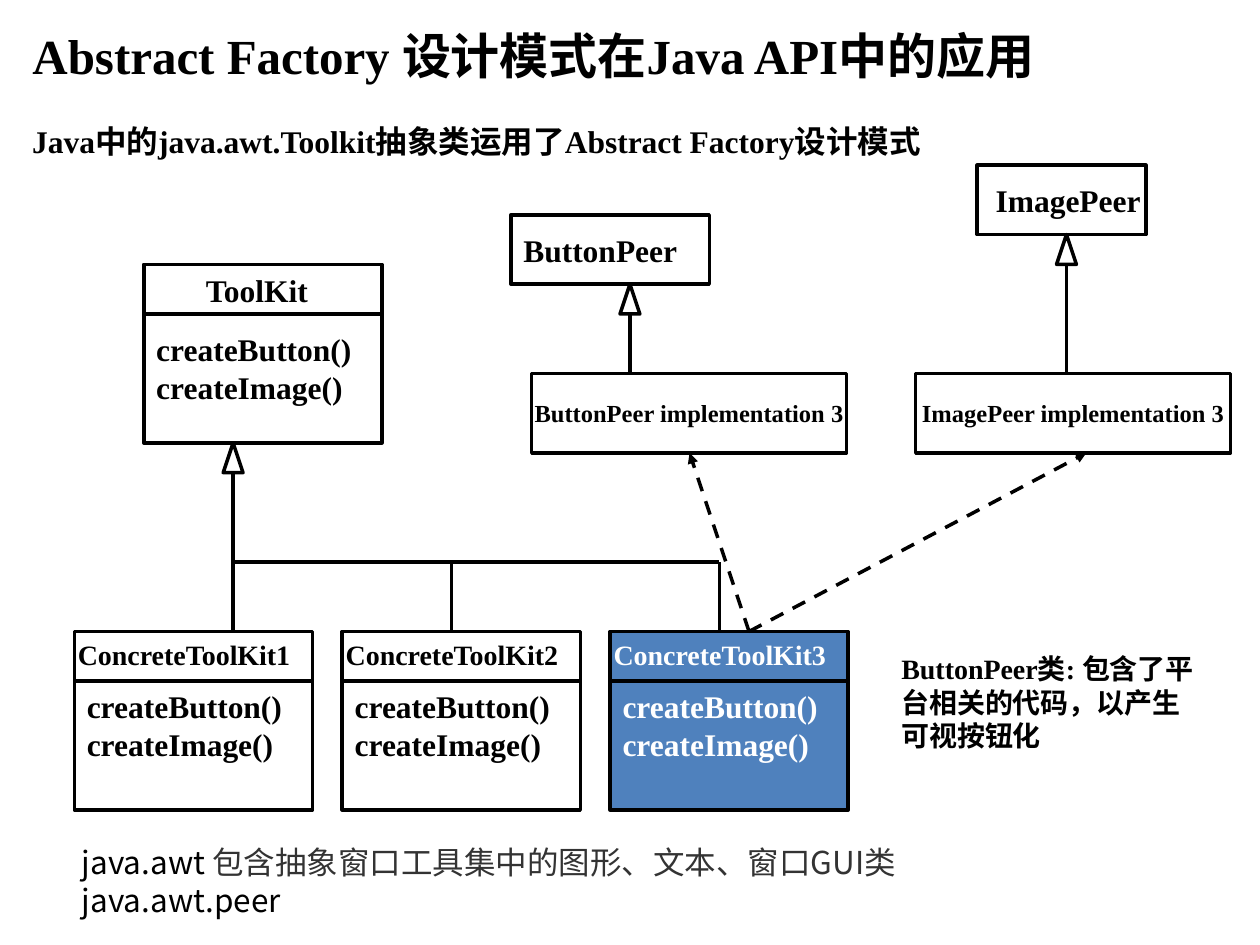
"""Build the slide on Abstract Factory in the Java API as a class diagram on a 2 mm grid."""
from lxml import etree
from pptx import Presentation
from pptx.dml.color import RGBColor
from pptx.enum.dml import MSO_LINE
from pptx.enum.shapes import MSO_CONNECTOR, MSO_SHAPE
from pptx.enum.text import MSO_ANCHOR, PP_ALIGN
from pptx.oxml.ns import qn
from pptx.util import Inches, Mm, Pt

RECT, TRIANGLE = MSO_SHAPE.RECTANGLE, MSO_SHAPE.ISOSCELES_TRIANGLE
STRAIGHT, DASH = MSO_CONNECTOR.STRAIGHT, MSO_LINE.DASH
LEFT, CENTER = PP_ALIGN.LEFT, PP_ALIGN.CENTER
TOP, MIDDLE = MSO_ANCHOR.TOP, MSO_ANCHOR.MIDDLE

COLORS = {"ink": "000000", "paper": "FFFFFF", "accent": "4F81BD", "gray": "333333"}
SERIF, SANS = "Times New Roman", "Noto Sans CJK SC"
COL_OFFSET, ROW_OFFSET = 0.5, 0.65

TITLE = "Abstract Factory 设计模式在Java API中的应用"
SUBTITLE = "Java中的java.awt.Toolkit抽象类运用了Abstract Factory设计模式"
METHODS = ["createButton()", "createImage()"]
BUTTON_NOTE = ["ButtonPeer类: 包含了平", "台相关的代码，以产生", "可视按钮化"]
PACKAGES = [
    [("java.awt ", "ink"), ("包含抽象窗口工具集中的图形、文本、窗口GUI类", "gray")],
    [("java.awt.peer", "ink")],
]

CLASS_W, CLASS_H, NAME_H = 24, 18, 5
TOOLKIT_COL, TOOLKIT_ROW = 14, 26
CONCRETE_COL, CONCRETE_ROW, CONCRETE_PITCH = 7, 63, 27
CONCRETES = [
    ("ConcreteToolKit1", None, "ink"),
    ("ConcreteToolKit2", None, "ink"),
    ("ConcreteToolKit3", "accent", "paper"),
]
PEER_H, PEER_NAME_W = 7, 22
PEERS = [("ButtonPeer", 51, 21, 20, 51, 63), ("ImagePeer", 98, 16, 17, 98.6, 107)]
IMPL_ROW, IMPL_W, IMPL_H = 37, 31.75, 8
IMPLEMENTATIONS = [
    ("ButtonPeer implementation 3", 53.1, 69),
    ("ImagePeer implementation 3", 91.8, 109),
]
TRIANGLE_W, TRIANGLE_H = 2, 3
TRUNK_COL, BUS_ROW, BRANCH_COLS, CREATOR_COL = 23, 56, (45, 72), 75


def x(col):
    return Mm(2 * (col + COL_OFFSET))


def y(row):
    return Mm(2 * (row + ROW_OFFSET))


def color(name):
    return RGBColor.from_string(COLORS[name])


def write(frame, lines, size, ink="ink", font=SERIF, bold=True, align=LEFT, anchor=TOP, wrap=False):
    frame.word_wrap = wrap
    frame.vertical_anchor = anchor
    for index, line in enumerate(lines):
        paragraph = frame.paragraphs[0] if index == 0 else frame.add_paragraph()
        paragraph.alignment = align
        paragraph.font.name, paragraph.font.size = font, Pt(size)
        paragraph.font.bold = bold
        paragraph.font.color.rgb = color(ink)
        for text, run_ink in [(line, ink)] if isinstance(line, str) else line:
            run = paragraph.add_run()
            run.text = text
            if run_ink != ink:
                run.font.color.rgb = color(run_ink)


def add_text(slide, col, row, width, height, lines, size, **style):
    box = slide.shapes.add_textbox(x(col), y(row), Mm(2 * width), Mm(2 * height))
    write(box.text_frame, lines, size, **style)


def add_outline(slide, col, row, width, height, fill=None, kind=RECT):
    shape = slide.shapes.add_shape(kind, x(col), y(row), Mm(2 * width), Mm(2 * height))
    shape.shadow.inherit = False
    if fill:
        shape.fill.solid()
        shape.fill.fore_color.rgb = color(fill)
    else:
        shape.fill.background()
    shape.line.color.rgb = color("ink")
    shape.line.width = Pt(2)
    return shape


def add_line(slide, start, end, dependency=False):
    line = slide.shapes.add_connector(STRAIGHT, x(start[0]), y(start[1]), x(end[0]), y(end[1]))
    line.line.color.rgb = color("ink")
    line.line.width = Pt(2)
    if dependency:
        line.line.dash_style = DASH
        etree.SubElement(line.line._get_or_add_ln(), qn("a:tailEnd"), type="triangle")
    etree.SubElement(line._element.spPr, qn("a:effectLst"))


def add_inheritance(slide, col, parent_bottom, child_top):
    add_line(slide, (col, parent_bottom + TRIANGLE_H), (col, child_top))
    add_outline(slide, col - TRIANGLE_W / 2, parent_bottom, TRIANGLE_W, TRIANGLE_H, "paper", TRIANGLE)


def add_class(slide, col, row, fill=None):
    add_outline(slide, col, row, CLASS_W, CLASS_H, fill)
    add_line(slide, (col, row + NAME_H), (col + CLASS_W, row + NAME_H))


def main():
    prs = Presentation()
    prs.slide_width, prs.slide_height = Inches(10), Inches(7.5)
    slide = prs.slides.add_slide(prs.slide_layouts[5])

    title = slide.shapes.title
    title.left, title.top, title.width, title.height = x(1.5), y(1.25), Mm(232), Mm(16)
    write(title.text_frame, [TITLE], 28)
    add_text(slide, 1.5, 11, 107, 6, [SUBTITLE], 18)

    add_class(slide, TOOLKIT_COL, TOOLKIT_ROW)
    add_text(slide, TOOLKIT_COL + 5, TOOLKIT_ROW, 16, 5, ["ToolKit"], 18)
    add_text(slide, TOOLKIT_COL, TOOLKIT_ROW + 6, CLASS_W, 9, METHODS, 18)

    for index, (name, fill, ink) in enumerate(CONCRETES):
        col = CONCRETE_COL + index * CONCRETE_PITCH
        add_class(slide, col, CONCRETE_ROW, fill)
        add_text(slide, col - 0.9, CONCRETE_ROW, CLASS_W + 2, 5, [name], 16, ink=ink)
        add_text(slide, col, CONCRETE_ROW + NAME_H, CLASS_W, 12, METHODS, 18, ink=ink)

    add_inheritance(slide, TRUNK_COL, TOOLKIT_ROW + CLASS_H, CONCRETE_ROW)
    add_line(slide, (TRUNK_COL, BUS_ROW), (BRANCH_COLS[-1], BUS_ROW))
    for col in BRANCH_COLS:
        add_line(slide, (col, BUS_ROW), (col, CONCRETE_ROW))

    for name, col, row, width, name_col, arrow_col in PEERS:
        add_outline(slide, col, row, width, PEER_H)
        add_text(slide, name_col, row + 1, PEER_NAME_W, 5, [name], 18)
        add_inheritance(slide, arrow_col, row + PEER_H, IMPL_ROW)

    for name, col, target_col in IMPLEMENTATIONS:
        box = add_outline(slide, col, IMPL_ROW, IMPL_W, IMPL_H)
        write(box.text_frame, [name], 14, align=CENTER, anchor=MIDDLE)
        add_line(slide, (CREATOR_COL, CONCRETE_ROW), (target_col, IMPL_ROW + IMPL_H), True)

    add_text(slide, 89.1, 64.4, 34, 11.4, BUTTON_NOTE, 16)
    add_text(slide, 6.5, 83.7, 93.2, 8.9, PACKAGES, 18, font=SANS, bold=False, wrap=True)
    prs.save("out.pptx")


if __name__ == "__main__":
    main()
